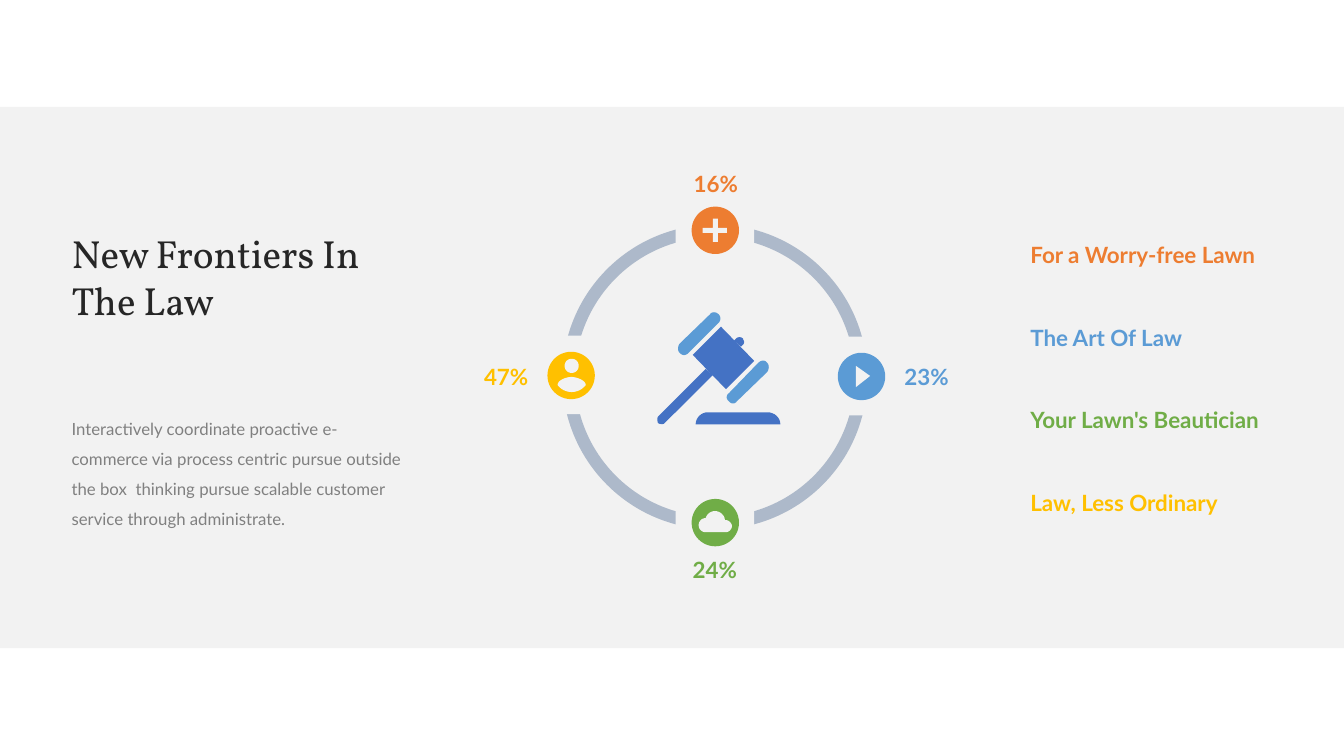
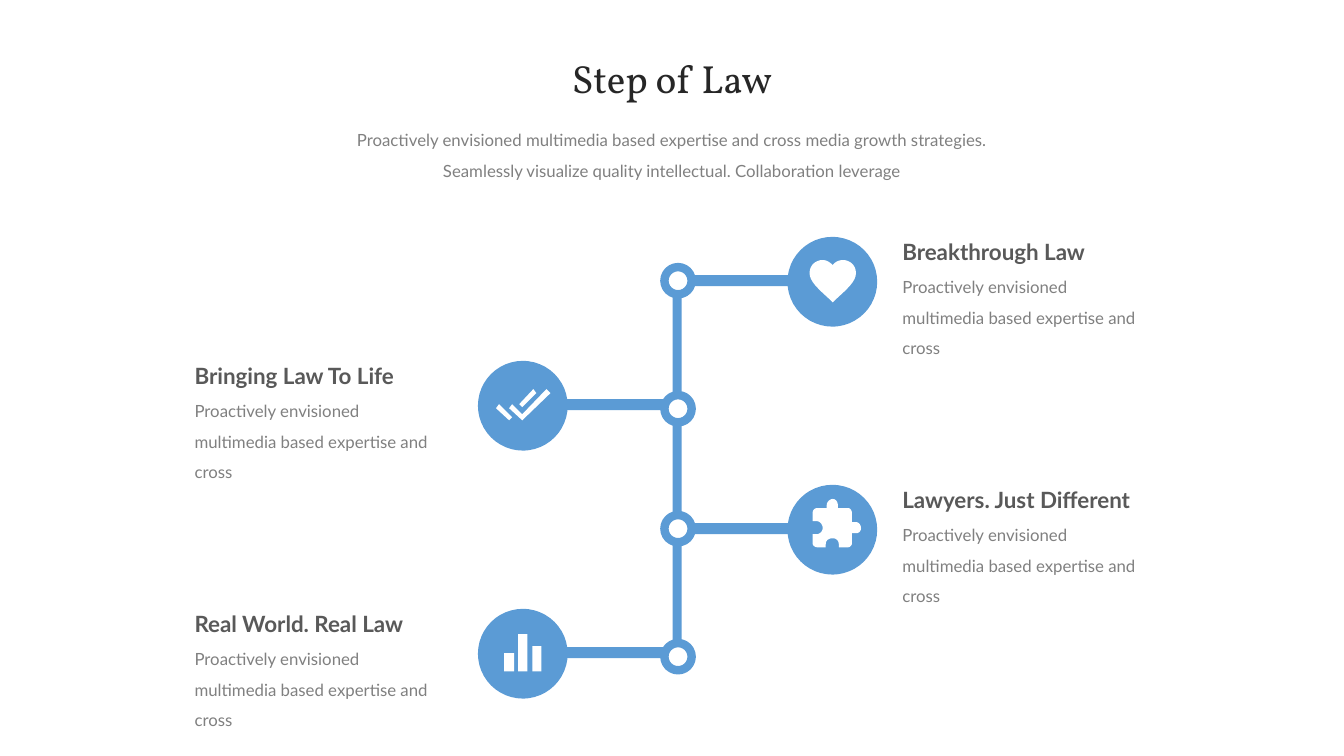
from pptx import Presentation
from pptx.dml.color import RGBColor
from pptx.enum.shapes import MSO_SHAPE
from pptx.enum.text import MSO_ANCHOR, MSO_AUTO_SIZE, PP_ALIGN
from pptx.util import Inches, Pt

RECTANGLE, ELLIPSE = MSO_SHAPE.RECTANGLE, MSO_SHAPE.OVAL
TOP, MIDDLE = MSO_ANCHOR.TOP, MSO_ANCHOR.MIDDLE
LEFT, CENTER = PP_ALIGN.LEFT, PP_ALIGN.CENTER
GROW = MSO_AUTO_SIZE.SHAPE_TO_FIT_TEXT

COLORS = {
    "white": "FFFFFF", "band": "F2F2F2", "ring": "ADB9CA",
    "orange": "ED7D31", "blue": "5B9BD5", "green": "70AD47",
    "yellow": "FFC000", "navy": "4472C4",
    "title": "262626", "heading": "595959", "body": "808080",
}
FONTS = {
    "title": {"name": "Vollkorn", "size": Pt(28)},
    "heading": {"name": "Lato", "size": Pt(16), "bold": True},
    "body": {"name": "Lato", "size": Pt(12)},
}


def add_shape(slide, kind, box, fill=None, line=None, width=0):
    shape = slide.shapes.add_shape(kind, *[Inches(value) for value in box])
    shape.shadow.inherit = False
    if fill:
        shape.fill.solid()
        shape.fill.fore_color.rgb = RGBColor.from_string(COLORS[fill])
    else:
        shape.fill.background()
    if line:
        shape.line.color.rgb = RGBColor.from_string(COLORS[line])
        shape.line.width = Pt(width)
    else:
        shape.line.fill.background()


def add_text(slide, text, box, style, color=None, align=LEFT, anchor=TOP, spacing=None):
    shape = slide.shapes.add_textbox(*[Inches(value) for value in box])
    frame_format = {
        "margin_left": 0, "margin_top": 0, "margin_right": 0, "margin_bottom": 0,
        "word_wrap": True, "auto_size": GROW, "vertical_anchor": anchor,
    }
    for name, value in frame_format.items():
        setattr(shape.text_frame, name, value)
    paragraph = shape.text_frame.paragraphs[0]
    paragraph.alignment = align
    if spacing:
        paragraph.line_spacing = spacing
    run = paragraph.add_run()
    run.text = text
    for name, value in FONTS[style].items():
        setattr(run.font, name, value)
    run.font.color.rgb = RGBColor.from_string(COLORS[color or style])


presentation = Presentation()
presentation.slide_width = Inches(13.33)
presentation.slide_height = Inches(7.5)
blank = presentation.slide_layouts[6]

# Slide 1: band, title and introduction
ring_slide = presentation.slides.add_slide(blank)
add_shape(ring_slide, RECTANGLE, (0, 1.06, 13.33, 5.37), "band")
add_text(ring_slide, "New Frontiers In The Law", (0.71, 2.27, 3.28, 0.94), "title", anchor=MIDDLE)
add_text(
    ring_slide,
    "Interactively coordinate proactive e-commerce via process centric pursue outside "
    "the box  thinking pursue scalable customer service through administrate.",
    (0.71, 4.05, 3.28, 1.18), "body", spacing=1.5,
)

# Ring with four badges, clockwise from the top, and their headings
add_shape(ring_slide, ELLIPSE, (5.64, 2.29, 2.9, 2.9), line="ring", width=9)
badges = [
    # heading, percentage, colour, gap, badge, label
    ("For a Worry-free Lawn", "16%", "orange", (6.7, 1.89), (6.86, 2.05), (6.78, 1.7)),
    ("The Art Of Law", "23%", "blue", (8.19, 3.34), (8.31, 3.5), (8.87, 3.61)),
    ("Your Lawn's Beautician", "24%", "green", (6.7, 4.83), (6.86, 4.95), (6.77, 5.53)),
    ("Law, Less Ordinary", "47%", "yellow", (5.25, 3.33), (5.43, 3.49), (4.7, 3.61)),
]
for index, (heading, percentage, color, gap, badge, label) in enumerate(badges):
    add_shape(ring_slide, RECTANGLE, (*gap, 0.78, 0.78), "band")
    add_shape(ring_slide, ELLIPSE, (*badge, 0.47, 0.47), color)
    add_text(ring_slide, percentage, (*label, 0.64, 0.25), "heading", color, CENTER, MIDDLE)
    heading_box = (10.22, 2.39 + 0.82 * index, 2.4, 0.27)
    add_text(ring_slide, heading, heading_box, "heading", color, anchor=MIDDLE)

# Slide 2: title and introduction
step_slide = presentation.slides.add_slide(blank)
add_text(step_slide, "Step of Law", (3.28, 0.58, 6.77, 0.43), "title",
         align=CENTER, anchor=MIDDLE, spacing=Pt(30))
add_text(
    step_slide,
    "Proactively envisioned multimedia based expertise and cross media growth strategies. "
    "Seamlessly visualize quality intellectual. Collaboration leverage",
    (3.28, 1.19, 6.77, 0.57), "body", align=CENTER, spacing=1.5,
)

# Stem with steps branching right and left in turn
add_shape(step_slide, RECTANGLE, (6.67, 2.65, 0.09, 3.98), "blue")
steps = ["Breakthrough Law", "Bringing Law To Life", "Lawyers. Just Different", "Real World. Real Law"]
sides = [
    # branch left, circle left, text left, node offset
    (6.86, 7.81, 8.95, 0.3),
    (5.35, 4.74, 1.93, 0.34),
]
for index, heading in enumerate(steps):
    top = 2.35 + 1.23 * index
    branch_left, circle_left, text_left, node_offset = sides[index % 2]
    add_shape(step_slide, RECTANGLE, (branch_left, top + 0.38, 1.4, 0.11), "blue")
    add_shape(step_slide, ELLIPSE, (6.59, top + node_offset, 0.27, 0.27), "white", "blue", 6)
    add_shape(step_slide, ELLIPSE, (circle_left, top, 0.89, 0.89), "blue")
    add_text(step_slide, heading, (text_left, top + 0.01, 2.47, 0.27), "heading")
    add_text(step_slide, "Proactively envisioned multimedia based expertise and cross",
             (text_left, top + 0.3, 2.47, 0.57), "body", spacing=1.5)

# Icons: one string per contour; "x,y" is a line, "x,y;x,y;x,y" a Bézier curve
plus = ["7.21,2.31 7.21,2.26 7.12,2.26 7.12,2.17 7.07,2.17 7.07,2.26 "
        "6.97,2.26 6.97,2.31 7.07,2.31 7.07,2.4 7.12,2.4 7.12,2.31"]
play = ["8.49,3.84 8.63,3.73 8.49,3.63"]
cloud = ["7.2,5.28 7.23,5.28;7.26,5.25;7.26,5.22 7.26,5.19;7.23,5.16;7.2,5.16 7.19,5.16 "
         "7.19,5.11;7.14,5.07;7.09,5.07 7.05,5.07;7.01,5.1;7,5.14 "
         "6.96,5.14;6.93,5.17;6.93,5.21 6.93,5.25;6.96,5.28;7,5.28"]
person = ["5.67,3.89 5.73,3.89;5.78,3.86;5.81,3.82 5.81,3.77;5.71,3.74;5.67,3.74 "
          "5.62,3.74;5.53,3.77;5.53,3.82 5.56,3.86;5.61,3.89;5.67,3.89",
          "5.67,3.56 5.63,3.56;5.6,3.59;5.6,3.63 5.6,3.67;5.63,3.7;5.67,3.7 "
          "5.71,3.7;5.74,3.67;5.74,3.63 5.74,3.59;5.71,3.56;5.67,3.56"]
gavel_head = ["7.2,3.86 6.87,3.52 7.15,3.24 7.48,3.58"]
gavel_caps = ["7.31,3.98 7.29,4.01;7.25,4.01;7.23,3.98 7.2,3.96;7.2,3.92;7.23,3.9 "
              "7.52,3.6 7.55,3.57;7.59,3.57;7.61,3.6 7.63,3.62;7.63,3.66;7.61,3.69",
              "6.83,3.5 6.8,3.53;6.77,3.53;6.74,3.5 6.72,3.48;6.72,3.44;6.74,3.41 "
              "7.04,3.12 7.06,3.09;7.1,3.09;7.13,3.12 7.15,3.14;7.15,3.18;7.13,3.2"]
gavel_knob = ["7.37,3.42 7.35,3.44 7.28,3.38 7.3,3.36 7.32,3.34;7.35,3.34;7.37,3.36 "
              "7.37,3.37;7.38,3.38;7.38,3.39 7.38,3.4;7.38,3.41;7.37,3.42"]
gavel_handle = ["7,3.66 7.07,3.72 6.59,4.2 6.58,4.21;6.55,4.21;6.53,4.2 "
                "6.52,4.19;6.52,4.17;6.52,4.16 6.52,4.15;6.52,4.14;6.53,4.13"]
gavel_block = ["6.9,4.21 6.9,4.14;6.96,4.09;7.02,4.09 7.61,4.09 7.68,4.09;7.74,4.14;7.74,4.21"]
heart = ["8.26,3 8.23,2.97 8.11,2.86;8.03,2.79;8.03,2.71 8.03,2.63;8.09,2.58;8.16,2.58 "
         "8.2,2.58;8.23,2.6;8.26,2.63 8.28,2.6;8.32,2.58;8.36,2.58 "
         "8.43,2.58;8.49,2.63;8.49,2.71 8.49,2.79;8.41,2.86;8.29,2.97"]
puzzle = ["8.49,5.18 8.52,5.18;8.54,5.21;8.54,5.24 8.54,5.27;8.52,5.29;8.49,5.29 "
          "8.45,5.29 8.45,5.39 8.45,5.41;8.43,5.43;8.41,5.43 8.32,5.43 8.32,5.4 "
          "8.32,5.36;8.29,5.34;8.26,5.34 8.22,5.34;8.19,5.36;8.19,5.4 8.19,5.43 "
          "8.11,5.43 8.08,5.43;8.06,5.41;8.06,5.39 8.06,5.3 8.1,5.3 "
          "8.13,5.3;8.16,5.27;8.16,5.24 8.16,5.2;8.13,5.17;8.1,5.17 8.06,5.17 8.06,5.09 "
          "8.06,5.06;8.08,5.04;8.11,5.04 8.2,5.04 8.2,5.01 8.2,4.98;8.23,4.95;8.26,4.95 "
          "8.29,4.95;8.31,4.98;8.31,5.01 8.31,5.04 8.41,5.04 "
          "8.43,5.04;8.45,5.06;8.45,5.09 8.45,5.18"]
checks = ["4.92,4.05 4.95,4.01 5.08,4.14 5.05,4.17",
          "5.42,3.86 5.46,3.9 5.18,4.17 5.05,4.05 5.08,4.01 5.18,4.11",
          "5.32,3.9 5.18,4.04 5.15,4.01 5.29,3.86"]
bars = ["5.28,6.41 5.37,6.41 5.37,6.66 5.28,6.66",
        "5,6.66 5,6.48 5.1,6.48 5.1,6.66",
        "5.14,6.66 5.14,6.29 5.23,6.29 5.23,6.66"]
icons = [
    (ring_slide, "band", [plus, play, cloud, person]),
    (ring_slide, "navy", [gavel_head, gavel_knob, gavel_handle, gavel_block]),
    (ring_slide, "blue", [gavel_caps]),
    (step_slide, "white", [heart, checks, puzzle, bars]),
]
CURVE_STEPS = 8
for slide, color, outlines in icons:
    for outline in outlines:
        builder = None
        for contour in outline:
            points = []
            for token in contour.split():
                knots = [tuple(Inches(float(number)) for number in knot.split(","))
                         for knot in token.split(";")]
                if len(knots) == 1:
                    points += knots
                    continue
                controls = [points[-1], *knots]
                for step in range(1, CURVE_STEPS + 1):
                    t = step / CURVE_STEPS
                    weights = [(1 - t) ** 3, 3 * t * (1 - t) ** 2, 3 * t ** 2 * (1 - t), t ** 3]
                    points.append(tuple(
                        sum(weight * control[axis] for weight, control in zip(weights, controls))
                        for axis in (0, 1)))
            if builder is None:
                builder = slide.shapes.build_freeform(*points[0])
            else:
                builder.move_to(*points[0])
            builder.add_line_segments(points[1:], close=True)
        icon = builder.convert_to_shape()
        icon.shadow.inherit = False
        icon.fill.solid()
        icon.fill.fore_color.rgb = RGBColor.from_string(COLORS[color])
        icon.line.fill.background()

presentation.save("out.pptx")
